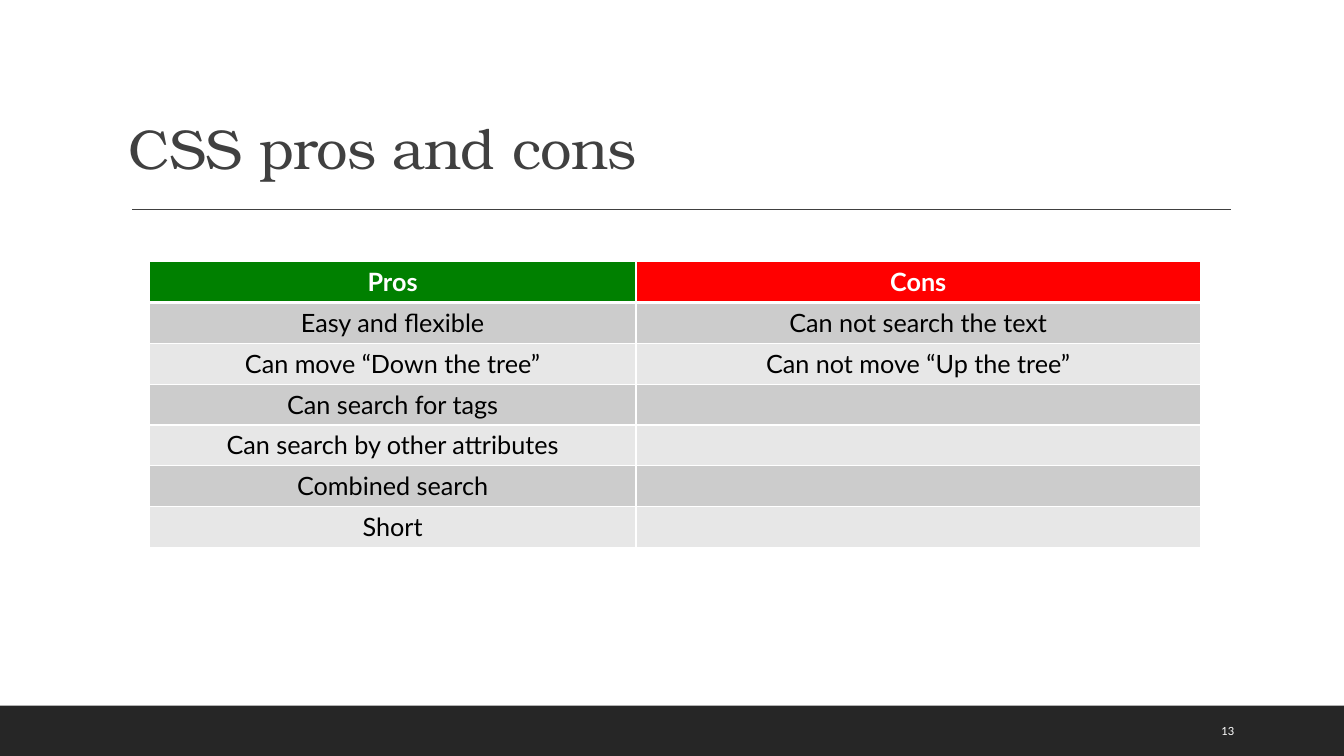
from lxml import etree
from pptx import Presentation
from pptx.dml.color import RGBColor
from pptx.enum.shapes import MSO_CONNECTOR, MSO_SHAPE
from pptx.enum.text import MSO_ANCHOR, PP_ALIGN
from pptx.oxml.ns import qn
from pptx.util import Cm, Pt

RECT, STRAIGHT = MSO_SHAPE.RECTANGLE, MSO_CONNECTOR.STRAIGHT
BOTTOM, MIDDLE = MSO_ANCHOR.BOTTOM, MSO_ANCHOR.MIDDLE
LEFT, CENTER = PP_ALIGN.LEFT, PP_ALIGN.CENTER

# Content
TITLE = "CSS pros and cons"
NUMBER = "13"
ROWS = [
    ("Pros", "Cons"),
    ("Easy and flexible", "Can not search the text"),
    ("Can move “Down the tree”", "Can not move “Up the tree”"),
    ("Can search for tags", ""),
    ("Can search by other attributes", ""),
    ("Combined search", ""),
    ("Short", ""),
]

# Look
COLORS = {
    "white": "FFFFFF", "black": "000000", "bar": "262626", "title": "404040",
    "pros": "008000", "cons": "FF0000", "odd": "CCCCCC", "even": "E7E7E7",
}
FORMATS = {
    "title": {"name": "TeX Gyre Bonum", "size": Pt(40), "color": "title"},
    "number": {"name": "Lato", "size": Pt(8), "color": "white"},
    "head": {"name": "Lato", "size": Pt(18), "color": "white", "bold": True},
    "body": {"name": "Lato", "size": Pt(18), "color": "black", "bold": False},
}

# Measures in cm
SLIDE_W, SLIDE_H = 33.87, 19.05
BAR_H = 1.27
RULE_LEFT, RULE_RIGHT, RULE_TOP = 3.33, 31.01, 5.28
TABLE_LEFT, TABLE_TOP = 3.76, 6.59
COL_WIDTHS = (12.27, 14.22)
ROW_H = 1.03


def rgb(name):
    return RGBColor.from_string(COLORS[name])


def write(tf, text, kind, align):
    p = tf.paragraphs[0]
    p.alignment = align
    r = p.add_run()
    r.text = text
    for key, value in FORMATS[kind].items():
        if key == "color":
            r.font.color.rgb = rgb(value)
        else:
            setattr(r.font, key, value)
    return p


def add_text(s, box, text, kind, anchor):
    tf = s.shapes.add_textbox(*map(Cm, box)).text_frame
    tf.word_wrap = True
    tf.vertical_anchor = anchor
    return write(tf, text, kind, LEFT)


def add_borders(cell, widths):
    tcPr = cell._tc.get_or_add_tcPr()
    for side, width in widths.items():
        ln = etree.SubElement(tcPr, qn(f"a:ln{side}"), w=str(Pt(width)))
        fill = etree.SubElement(ln, qn("a:solidFill"))
        etree.SubElement(fill, qn("a:srgbClr"), val=COLORS["white"])


prs = Presentation()
prs.slide_width, prs.slide_height = Cm(SLIDE_W), Cm(SLIDE_H)
s = prs.slides.add_slide(prs.slide_layouts[6])

# Footer bar
bar = s.shapes.add_shape(RECT, 0, Cm(SLIDE_H - BAR_H), Cm(SLIDE_W), Cm(BAR_H))
bar.shadow.inherit = False
bar.fill.solid()
bar.fill.fore_color.rgb = rgb("bar")
bar.line.fill.background()

# Rule under the title
rule = s.shapes.add_connector(
    STRAIGHT, Cm(RULE_LEFT), Cm(RULE_TOP), Cm(RULE_RIGHT), Cm(RULE_TOP))
rule.line.color.rgb = rgb("title")
rule.line.width = Pt(1)
etree.SubElement(rule._element.spPr, qn("a:effectLst"))

# Title and slide number
p = add_text(s, (3.0, 0.66, 28.98, 4.04), TITLE, "title", BOTTOM)
p.line_spacing = 0.9
p.runs[0].font._element.set("spc", "-50")
add_text(s, (30.53, 17.91, 2.16, 1.02), NUMBER, "number", MIDDLE)

# Table of pros and cons
table = s.shapes.add_table(
    len(ROWS), len(COL_WIDTHS), Cm(TABLE_LEFT), Cm(TABLE_TOP),
    Cm(sum(COL_WIDTHS)), Cm(ROW_H * len(ROWS))).table
for column, width in zip(table.columns, COL_WIDTHS):
    column.width = Cm(width)
for i, texts in enumerate(ROWS):
    table.rows[i].height = Cm(ROW_H)
    fills = ("odd", "even")[(i - 1) % 2:][:1] * 2 if i else ("pros", "cons")
    for j, (text, fill) in enumerate(zip(texts, fills)):
        cell = table.cell(i, j)
        add_borders(cell, {"L": 1, "R": 1, "T": 3 if i == 1 else 1,
                           "B": 1 if i else 3})
        cell.fill.solid()
        cell.fill.fore_color.rgb = rgb(fill)
        if text:
            write(cell.text_frame, text, "body" if i else "head", CENTER)

prs.save("out.pptx")
